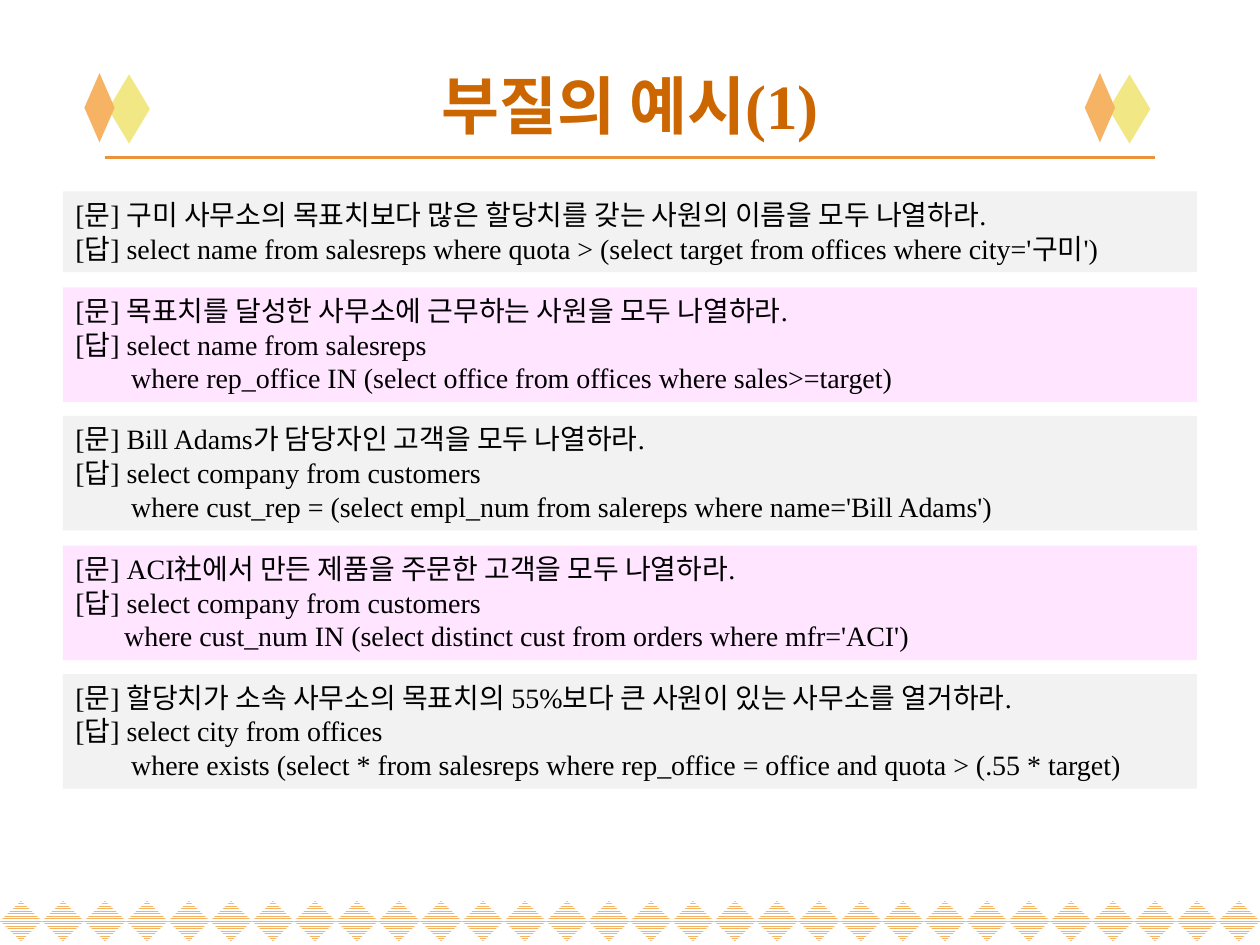
"""Build the slide of sample subqueries with its cube and diamond trim."""
from typing import NamedTuple

from lxml import etree
from pptx import Presentation
from pptx import util as u
from pptx.dml.color import RGBColor
from pptx.enum import dml, shapes, text
from pptx.oxml import ns

BLACK = RGBColor(0x00, 0x00, 0x00)
WHITE = RGBColor(0xFF, 0xFF, 0xFF)
GREY = RGBColor(0xF2, 0xF2, 0xF2)
PINK = RGBColor(0xFF, 0xE5, 0xFF)
RUST = RGBColor(0xCC, 0x66, 0x00)
ORANGE = RGBColor(0xEB, 0x93, 0x3B)
PEACH = RGBColor(0xF5, 0xB3, 0x63)
CREAM = RGBColor(0xF1, 0xE7, 0x85)
YELLOW = RGBColor(0xF3, 0xC9, 0x17)
OLIVE = RGBColor(0xBB, 0x93, 0x21)
FONT = "Times New Roman"
COUNT = 30


class Panel(NamedTuple):
    top: float
    fill: RGBColor
    words: str


class Facet(NamedTuple):
    points: tuple[tuple[float, float], ...]
    fill: RGBColor


PANELS = (
    Panel(1.52, GREY,
          "[문] 구미 사무소의 목표치보다 많은 할당치를 갖는 사원의 이름을 모두 나열하라.\n"
          "[답] select name from salesreps where quota > (select target from offices where city='구미')"),
    Panel(2.28, PINK,
          "[문] 목표치를 달성한 사무소에 근무하는 사원을 모두 나열하라.\n"
          "[답] select name from salesreps\n"
          "        where rep_office IN (select office from offices where sales>=target)"),
    Panel(3.3, GREY,
          "[문] Bill Adams가 담당자인 고객을 모두 나열하라.\n"
          "[답] select company from customers\n"
          "        where cust_rep = (select empl_num from salereps where name='Bill Adams')"),
    Panel(4.33, PINK,
          "[문] ACI社에서 만든 제품을 주문한 고객을 모두 나열하라.\n"
          "[답] select company from customers\n"
          "       where cust_num IN (select distinct cust from orders where mfr='ACI')"),
    Panel(5.35, GREY,
          "[문] 할당치가 소속 사무소의 목표치의 55%보다 큰 사원이 있는 사무소를 열거하라.\n"
          "[답] select city from offices\n"
          "        where exists (select * from salesreps where rep_office = office and quota > (.55 * target)"),
)

BACK = (
    Facet(((0.49, 0.86), (0.69, 0.86), (0.56, 0.59), (0.36, 0.59)), YELLOW),
    Facet(((0.49, 0.86), (0.69, 0.86), (0.56, 1.13), (0.36, 1.13)), OLIVE),
)
FRONT = (
    Facet(((0.23, 0.86), (0.45, 0.86), (0.32, 0.59), (0.11, 0.59)), ORANGE),
    Facet(((0.23, 0.86), (0.45, 0.86), (0.32, 1.14), (0.11, 1.14)), RUST),
    Facet(((0.11, 0.68), (0.04, 0.86), (0.19, 0.86)), RUST),
    Facet(((0.11, 1.04), (0.04, 0.86), (0.19, 0.86)), ORANGE),
)


def paint(shape, fill: RGBColor) -> None:
    """Give a shape a flat fill with no outline or shadow."""
    shape.shadow.inherit = False
    shape.fill.solid()
    shape.fill.fore_color.rgb = fill
    shape.line.fill.background()


def add_shape(slide, kind, left: float, top: float, width: float, height: float, fill: RGBColor):
    """Add a preset shape measured in inches."""
    shape = slide.shapes.add_shape(kind, u.Inches(left), u.Inches(top),
                                   u.Inches(width), u.Inches(height))
    paint(shape, fill)
    return shape


def add_facet(slide, left: float, facet: Facet) -> None:
    """Draw one face of a cube."""
    first, *rest = [(left + x, y) for x, y in facet.points]
    form = slide.shapes.build_freeform(*first, scale=u.Inches(1))
    form.add_line_segments(rest)
    paint(form.convert_to_shape(), facet.fill)


def add_cube(slide, left: float) -> None:
    """Draw a split cube from two diamonds and their faces."""
    diamond = shapes.MSO_SHAPE.DIAMOND
    add_shape(slide, diamond, left + 0.19, 0.59, 0.33, 0.55, CREAM)
    for facet in BACK:
        add_facet(slide, left, facet)
    add_shape(slide, diamond, left, 0.58, 0.24, 0.55, PEACH)
    for facet in FRONT:
        add_facet(slide, left, facet)


def add_trim(slide) -> None:
    """Draw the row of hatched diamonds along the bottom."""
    step = 10 / COUNT
    for index in range(COUNT):
        gem = add_shape(slide, shapes.MSO_SHAPE.DIAMOND, index * step, 7.15, step, 0.32, PEACH)
        gem.fill.patterned()
        gem.fill.pattern = dml.MSO_PATTERN.NARROW_HORIZONTAL
        gem.fill.fore_color.rgb = PEACH
        gem.fill.back_color.rgb = WHITE


def add_rule(slide) -> None:
    """Draw the line below the title."""
    rule = slide.shapes.add_connector(shapes.MSO_CONNECTOR.STRAIGHT, u.Inches(0.83),
                                      u.Inches(1.25), u.Inches(9.17), u.Inches(1.25))
    rule.line.color.rgb = ORANGE
    rule.line.width = u.Pt(2.25)
    etree.SubElement(rule._element.spPr, ns.qn("a:effectLst"))


def write(shape, words: str, size: int, color: RGBColor, align, bold: bool = False) -> None:
    """Set and format the text of a shape."""
    frame = shape.text_frame
    frame.word_wrap = True
    frame.vertical_anchor = text.MSO_ANCHOR.MIDDLE if bold else text.MSO_ANCHOR.TOP
    frame.text = words
    for para in frame.paragraphs:
        para.alignment = align
        for run in para.runs:
            run.font.name = FONT
            run.font.size = u.Pt(size)
            run.font.bold = bold
            run.font.color.rgb = color


def add_title(slide) -> None:
    """Place the title above the line."""
    title = slide.shapes.add_textbox(u.Inches(0.5), u.Inches(0.45), u.Inches(9), u.Inches(0.76))
    write(title, "부질의 예시(1)", 36, RUST, text.PP_ALIGN.CENTER, True)


def add_panel(slide, panel: Panel) -> None:
    """Place one question with its query, as tall as its lines need."""
    height = 0.1 + 0.27 * len(panel.words.splitlines())
    box = add_shape(slide, shapes.MSO_SHAPE.RECTANGLE, 0.5, panel.top, 9, height, panel.fill)
    write(box, panel.words, 16, BLACK, text.PP_ALIGN.LEFT)


def main() -> None:
    """Build and save the deck."""
    deck = Presentation()
    deck.slide_width = u.Inches(10)
    deck.slide_height = u.Inches(7.5)
    slide = deck.slides.add_slide(deck.slide_layouts[6])
    add_trim(slide)
    add_rule(slide)
    for left in (0.67, 8.61):
        add_cube(slide, left)
    add_title(slide)
    for panel in PANELS:
        add_panel(slide, panel)
    deck.save("out.pptx")


if __name__ == "__main__":
    main()
